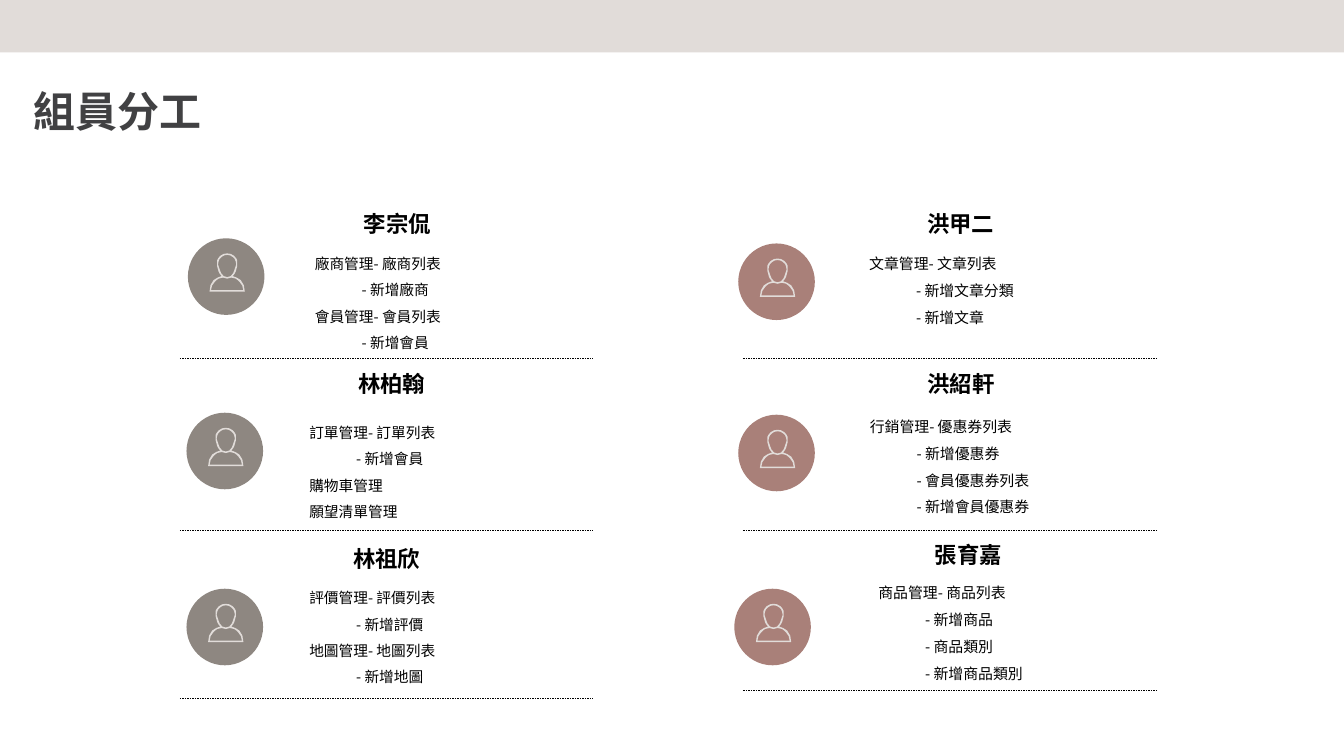
import pptx
import pptx.util
import pptx.dml.color
import pptx.enum.dml
import pptx.enum.shapes
import pptx.enum.text
import pptx.oxml
from dataclasses import dataclass

Cm, Pt = pptx.util.Cm, pptx.util.Pt
Align = pptx.enum.text.PP_ALIGN
Shape = pptx.enum.shapes.MSO_SHAPE


@dataclass(frozen=True)
class Theme:
    pale: str = "E1DCD9"
    grey: str = "8E8781"
    rose: str = "A98079"
    ink: str = "000000"
    dark: str = "414143"
    title: float = 60
    name: float = 32
    left: float = 21
    right: float = 21.3


THEME = Theme()
DISC = 3.86             # disc diameter
ICON = (1.09, 0.76)     # icon offset within the disc
WIDE, HIGH = 20.83, 8.65  # member cell
INDENT = 2.36           # sub-task indent

# Left halves of the icon outlines, as cubic control points on a 70 x 76 grid
HALVES = [
    # silhouette
    [(35, 0), (30, 0), (25, 2), (21, 5), (18, 8), (16, 11), (15, 14),
     (13, 21), (15, 29), (18, 36), (19, 39), (21, 42), (24, 45),
     (18, 46), (13, 49), (8, 53), (2, 59), (0, 67), (0, 76)],
    # inside of the head
    [(35, 3), (31, 3), (27, 4), (24, 7), (21, 9), (19, 12), (18, 16),
     (17, 20), (17, 24), (19, 28), (20, 32), (21, 36), (23, 39),
     (26, 44), (30, 47), (35, 47)],
    # inside of the shoulders
    [(35, 50), (32, 50), (30, 49), (27, 48), (24, 48), (21, 49), (18, 50),
     (15, 52), (12, 54), (10, 57), (6, 61), (3, 67), (3, 73)],
]

# Column left edge, disc colour, task size, then per member:
# name, tasks ("-" marks a sub-task), offsets of disc, name, tasks, and rule
TEAM = [
    (9.07, THEME.grey, THEME.left, [
        ("李宗侃", ["廠商管理- 廠商列表", "- 新增廠商", "會員管理- 會員列表", "- 新增會員"],
         (0.4, 2.61), (6.55, 1.04), (6.55, 2.87), 8.63),
        ("林柏翰", ["訂單管理- 訂單列表", "- 新增會員", "購物車管理", "願望清單管理"],
         (0.33, 2.75), (6.27, 0.49), (6.27, 2.73), 8.65),
        ("林祖欣", ["評價管理- 評價列表", "- 新增評價", "地圖管理- 地圖列表", "- 新增地圖"],
         (0.33, 2.97), (6.02, 0.63), (6.27, 2.41), 8.49),
    ]),
    (37.47, THEME.rose, THEME.right, [
        ("洪甲二", ["文章管理- 文章列表", "- 新增文章分類", "- 新增文章"],
         (-0.26, 2.87), (6.55, 1.04), (6.09, 2.87), 8.63),
        ("洪紹軒", ["行銷管理- 優惠券列表", "- 新增優惠券", "- 會員優惠券列表", "- 新增會員優惠券"],
         (-0.26, 2.85), (6.57, 0.49), (6.12, 2.42), 8.65),
        ("張育嘉", ["商品管理- 商品列表", "- 新增商品", "- 商品類別", "- 新增商品類別"],
         (-0.46, 2.97), (6.93, 0.43), (6.55, 2.15), 8.09),
    ]),
]


def rgb(hue):
    return pptx.dml.color.RGBColor.from_string(hue)


def paint(shape, hue):
    shape.shadow.inherit = False
    shape.fill.solid()
    shape.fill.fore_color.rgb = rgb(hue)
    shape.line.fill.background()


def write(slide, box, lines, hue, font, para, inset=None):
    """Add a text box; font and para are dicts of format values."""
    frame = slide.shapes.add_textbox(*map(Cm, box)).text_frame
    frame.word_wrap = True
    if inset is not None:
        for side in ("left", "top", "right", "bottom"):
            setattr(frame, "margin_" + side, Cm(inset))
    for i, line in enumerate(lines):
        par = frame.add_paragraph() if i else frame.paragraphs[0]
        for key, val in para.items():
            setattr(par, key, val)
        if line.startswith("-"):
            par._p.get_or_add_pPr().set("marL", str(Cm(INDENT)))
        run = par.add_run()
        run.text = line
        for key, val in font.items():
            setattr(run.font, key, val)
        run.font.color.rgb = rgb(hue)


def curve(pts, steps=2):
    """Sample a chain of cubic curves."""
    out = [pts[0]]
    for i in range(0, len(pts) - 1, 3):
        for n in range(1, steps + 1):
            t = n / steps
            mix = ((1 - t) ** 3, 3 * t * (1 - t) ** 2, 3 * t * t * (1 - t), t ** 3)
            out.append(tuple(sum(m * p[k] for m, p in zip(mix, pts[i:i + 4]))
                             for k in (0, 1)))
    return out


def icon(slide, x, y):
    pen = None
    for half in HALVES:
        pts = curve(half)
        pts += [(70 - a, b) for a, b in reversed(pts[1:])]
        if pen is None:
            pen = slide.shapes.build_freeform(*pts[0], scale=Cm(1.78) / 70)
        else:
            pen.move_to(*pts[0])
        pen.add_line_segments(pts[1:], close=True)
    paint(pen.convert_to_shape(Cm(x), Cm(y)), THEME.pale)


def rule(slide, x, y, wide):
    line = slide.shapes.add_connector(
        pptx.enum.shapes.MSO_CONNECTOR.STRAIGHT, Cm(x), Cm(y), Cm(x + wide), Cm(y))
    line.line.color.rgb = rgb(THEME.ink)
    line.line.width = Pt(0.5)
    line.line.dash_style = pptx.enum.dml.MSO_LINE.DASH
    line._element.spPr.append(pptx.oxml.parse_xml(
        '<a:effectLst xmlns:a="http://schemas.openxmlformats.org/drawingml/2006/main"/>'))


def member(slide, x, y, hue, size, data):
    name, tasks, disc, head, body, foot = data
    # Portrait
    left, top = x + disc[0], y + disc[1]
    paint(slide.shapes.add_shape(
        Shape.OVAL, Cm(left), Cm(top), Cm(DISC), Cm(DISC)), hue)
    icon(slide, left + ICON[0], top + ICON[1])
    # Name and tasks
    write(slide, (x + head[0], y + head[1], 8.81, 1.63), [name], THEME.ink,
          {"size": Pt(THEME.name), "name": "Roboto Condensed", "bold": True},
          {"alignment": Align.CENTER})
    write(slide, (x + body[0], y + body[1], 12.5, 1.4 * len(tasks)), tasks, THEME.ink,
          {"size": Pt(size), "name": "Noto Sans CJK SC"}, {"line_spacing": 1.5})
    # Divider
    rule(slide, x, y + foot, WIDE)


def header(slide, wide):
    paint(slide.shapes.add_shape(Shape.RECTANGLE, 0, 0, wide, Cm(2.64)), THEME.pale)
    write(slide, (1.57, 3.68, 19.41, 4.39), ["組員分工"], THEME.dark,
          {"size": Pt(THEME.title), "name": "Arial", "bold": True},
          {"line_spacing": 1.2}, inset=0.1)


def main():
    deck = pptx.Presentation()
    deck.slide_width, deck.slide_height = Cm(67.74), Cm(38.1)
    slide = deck.slides.add_slide(deck.slide_layouts[6])
    header(slide, deck.slide_width)
    for x, hue, size, people in TEAM:
        for row, data in enumerate(people):
            member(slide, x, 9.4 + row * HIGH, hue, size, data)
    deck.save("out.pptx")


if __name__ == "__main__":
    main()
